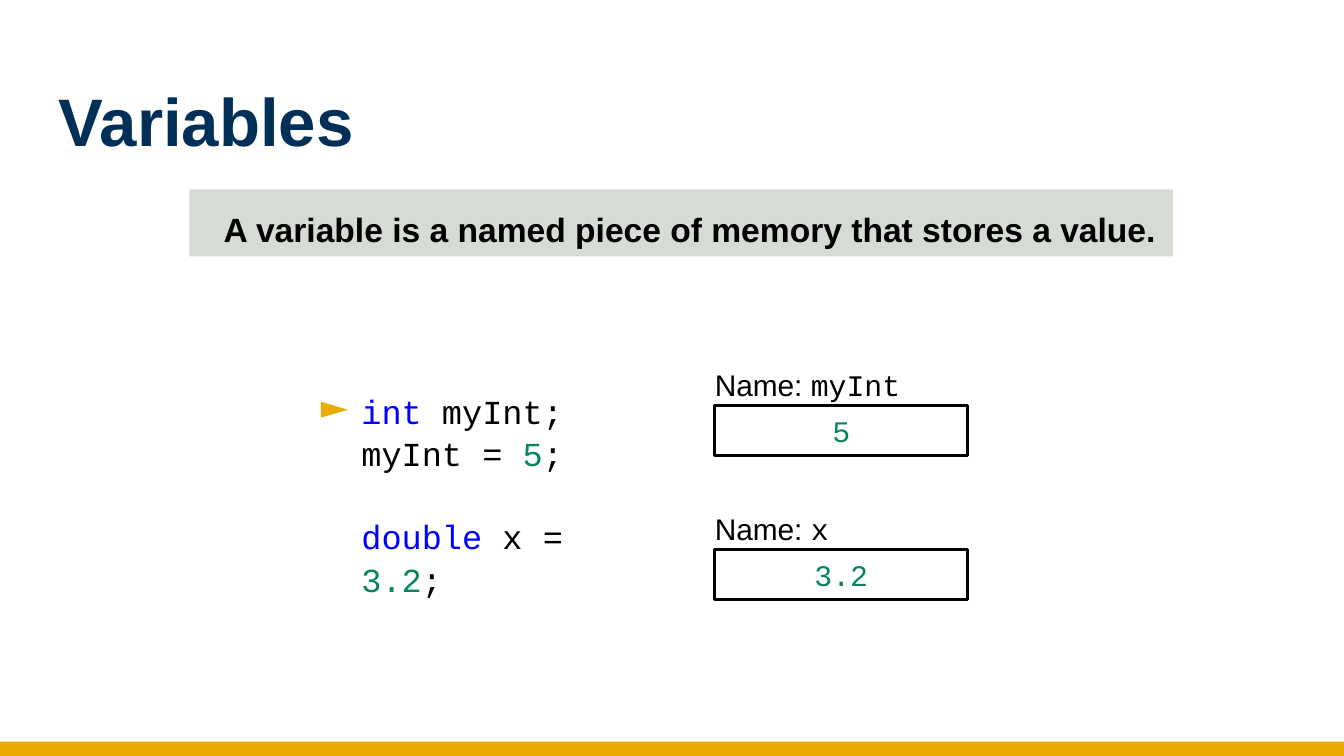
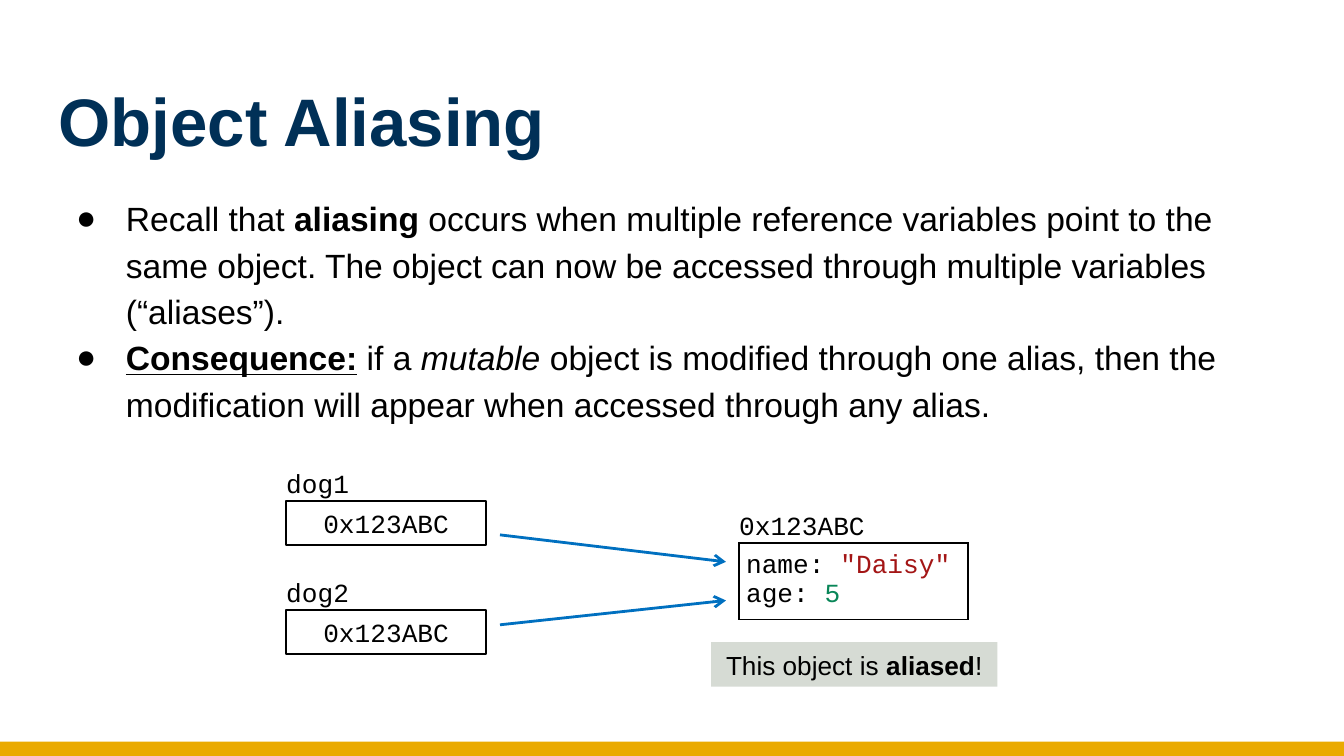
from dataclasses import dataclass

from lxml import etree
from pptx import Presentation
from pptx import util as u
from pptx.dml.color import RGBColor
from pptx.enum import shapes, text
from pptx.oxml import ns

Cm, Pt = u.Cm, u.Pt


@dataclass(frozen=True)
class Theme:
    navy: str = "003057"
    gold: str = "EAAA00"
    grey: str = "D6DBD4"
    white: str = "FFFFFF"
    black: str = "000000"
    keyword: str = "0000FF"
    number: str = "098658"
    string: str = "A31515"
    arrow: str = "0070C0"
    sans: str = "Arial"
    mono: str = "Courier New"
    title: int = 36
    body: int = 18
    variable: int = 16
    diagram: int = 14


THEME = Theme()


@dataclass(frozen=True)
class Box:
    """An area in centimetres."""
    left: float
    top: float
    width: float
    height: float

    def inner(self, left, top, width, height):
        return Box(self.left + left, self.top + top, width, height)

    def lengths(self):
        return [Cm(value) for value in
                (self.left, self.top, self.width, self.height)]


@dataclass(frozen=True)
class Span:
    text: str
    color: str = None
    name: str = None
    bold: bool = None
    italic: bool = None
    underline: bool = None


PAGE = Box(0, 0, 25.4, 14.29)
TITLE = Box(0.86, 1.24, 23.67, 1.96)


def rgb(color):
    return RGBColor.from_string(color)


def child(parent, tag, **attributes):
    return etree.SubElement(parent, ns.qn(tag), attributes)


def style(font, color=None, **settings):
    for key, value in settings.items():
        if value is not None:
            setattr(font, key, value)
    if color:
        font.color.rgb = rgb(color)


def write(frame, paragraphs, size, name=THEME.sans, color=THEME.black,
          bold=False, align=text.PP_ALIGN.LEFT, spacing=1.0, bullet=None,
          inset=(0.25, 0.13)):
    """Fill a frame with paragraphs, each of them a list of spans."""
    frame.word_wrap = True
    frame.auto_size = text.MSO_AUTO_SIZE.NONE
    frame.vertical_anchor = text.MSO_ANCHOR.TOP
    frame.margin_left = frame.margin_right = Cm(inset[0])
    frame.margin_top = frame.margin_bottom = Cm(inset[1])
    for index, spans in enumerate(paragraphs):
        para = frame.paragraphs[0] if index == 0 else frame.add_paragraph()
        if bullet:
            add_bullet(para, bullet)
        para.alignment = align
        para.line_spacing = spacing
        para.space_before = Pt(0)
        style(para.font, size=Pt(size), name=name, color=color, bold=bold)
        for span in spans:
            run = para.add_run()
            run.text = span.text
            style(run.font, span.color, name=span.name, bold=span.bold,
                  italic=span.italic, underline=span.underline)


def add_bullet(para, symbol):
    properties = para._p.get_or_add_pPr()
    properties.set("marL", str(Cm(1.27)))
    properties.set("indent", str(-Cm(0.94)))
    child(child(properties, "a:buClr"), "a:srgbClr", val=THEME.black)
    child(properties, "a:buFont", typeface=THEME.sans)
    child(properties, "a:buChar", char=symbol)


def add_panel(owner, box, fill=None, line=None, width=1.0,
              kind=shapes.MSO_SHAPE.RECTANGLE):
    panel = owner.shapes.add_shape(kind, *box.lengths())
    panel.shadow.inherit = False
    if fill:
        panel.fill.solid()
        panel.fill.fore_color.rgb = rgb(fill)
    else:
        panel.fill.background()
    if line:
        panel.line.color.rgb = rgb(line)
        panel.line.width = Pt(width)
    else:
        panel.line.fill.background()
    return panel


def add_text(owner, box, paragraphs, size, **settings):
    label = owner.shapes.add_textbox(*box.lengths())
    write(label.text_frame, paragraphs, size, **settings)
    return label


def add_label(owner, box, spans, size, height, **settings):
    """Set a line of text just above a box, flush with its left edge."""
    spot = box.inner(-0.25, 0.08 - height, box.width, height)
    add_text(owner, spot, [spans], size, **settings)


def add_arrow(page, start, end):
    arrow = page.shapes.add_connector(
        shapes.MSO_CONNECTOR.STRAIGHT, *(Cm(value) for value in start + end))
    arrow.line.color.rgb = rgb(THEME.arrow)
    arrow.line.width = Pt(1.5)
    child(arrow.line._get_or_add_ln(), "a:tailEnd", type="arrow")
    child(arrow._element.spPr, "a:effectLst")


def add_band(deck, page):
    """Draw the gold foot band and hand it to the slide master."""
    band = add_panel(page, PAGE.inner(0, 14.02, PAGE.width, 0.27), THEME.gold)
    band.element.nvSpPr.cNvPr.set("id", "90")
    deck.slide_master.shapes.element.append(band.element)


def add_page(deck, layout, title):
    page = deck.slides.add_slide(deck.slide_layouts.get_by_name(layout))
    heading = page.shapes.title
    heading.left, heading.top, heading.width, heading.height = TITLE.lengths()
    write(heading.text_frame, [[Span(title)]], THEME.title, color=THEME.navy,
          bold=True, inset=(0.25, 0.25))
    return page


def add_definition(page, box):
    banner = add_panel(page, box, THEME.grey)
    write(banner.text_frame,
          [[Span("A variable is a named piece of memory that stores a value.")]],
          THEME.body, bold=True, align=text.PP_ALIGN.CENTER, spacing=1.15,
          inset=(0.25, 0.25))
    banner.text_frame.margin_left = Cm(0.58)


def add_code(page, box):
    lines = [
        [Span("int", THEME.keyword), Span(" myInt;")],
        [Span("myInt = "), Span("5", THEME.number), Span(";")],
        [Span("double", THEME.keyword), Span(" x = "),
         Span("3.2", THEME.number), Span(";")],
    ]
    code = add_text(page, box, lines, THEME.body, name=THEME.mono, spacing=1.06)
    code.text_frame.paragraphs[-1].space_before = Pt(21.6)
    marker = add_panel(page, box.inner(-0.41, 0.28, 0.3, 0.51), THEME.gold,
                       kind=shapes.MSO_SHAPE.ISOSCELES_TRIANGLE)
    marker.rotation = 90


def add_variable(page, box, name, value):
    group = page.shapes.add_group_shape()
    add_label(group, box, [Span("Name: "), Span(name, name=THEME.mono)],
              THEME.variable, box.height)
    cell = add_panel(group, box, line=THEME.black, width=1.5)
    write(cell.text_frame, [[Span(value)]], THEME.variable, name=THEME.mono,
          color=THEME.number, align=text.PP_ALIGN.CENTER)


def add_points(page, box):
    body = page.placeholders[1]
    body.left, body.top, body.width, body.height = box.lengths()
    points = [
        [Span("Recall that "), Span("aliasing", bold=True),
         Span(" occurs when multiple reference variables point to the same "
              "object. The object can now be accessed through multiple "
              "variables (“aliases”).")],
        [Span("Consequence:", bold=True, underline=True), Span(" if a "),
         Span("mutable ", italic=True),
         Span("object is modified through one alias, then the modification "
              "will appear when accessed through any alias.")],
    ]
    write(body.text_frame, points, THEME.body, spacing=1.15, bullet="●",
          inset=(0.25, 0.25))


def add_reference(page, box, name, address):
    add_label(page, box, [Span(name)], THEME.diagram, box.height,
              name=THEME.mono)
    cell = add_panel(page, box, THEME.white, THEME.black)
    write(cell.text_frame, [[Span(address)]], THEME.diagram, name=THEME.mono,
          align=text.PP_ALIGN.CENTER)


def add_object(page, box, address):
    add_label(page, box, [Span(address)], THEME.diagram, 0.84, name=THEME.mono)
    table = page.shapes.add_table(1, 1, *box.lengths()).table
    table.first_row = table.horz_banding = False
    cell = table.cell(0, 0)
    fields = [[Span("name: "), Span('"Daisy"', THEME.string)],
              [Span("age: "), Span("5", THEME.number)]]
    write(cell.text_frame, fields, THEME.diagram, name=THEME.mono)
    cell.margin_left = cell.margin_right = Cm(0.13)
    cell.margin_top = cell.margin_bottom = Cm(0.13)
    cell.vertical_anchor = text.MSO_ANCHOR.MIDDLE
    properties = cell._tc.get_or_add_tcPr()
    for side in "LRTB":
        border = child(properties, f"a:ln{side}", w=str(Pt(0.96)))
        child(child(border, "a:solidFill"), "a:srgbClr", val=THEME.black)
    cell.fill.background()


def add_aliasing_diagram(page, box):
    address = "0x123ABC"
    for index, name in enumerate(["dog1", "dog2"]):
        spot = box.inner(0, 2.06 * index, 3.78, 0.84)
        add_reference(page, spot, name, address)
    add_object(page, box.inner(8.56, 0.79, 4.32, 1.45), address)
    for start, end in [(0.64, 1.15), (2.34, 1.88)]:
        add_arrow(page, (box.left + 4.04, box.top + start),
                  (box.left + 8.31, box.top + end))
    caption = add_panel(page, box.inner(8.03, 2.67, 5.41, 0.84), THEME.grey)
    write(caption.text_frame,
          [[Span("This object is "), Span("aliased", bold=True), Span("!")]],
          THEME.diagram, align=text.PP_ALIGN.CENTER)


def build_variables(deck):
    page = add_page(deck, "Title Only", "Variables")
    add_band(deck, page)
    add_definition(page, Box(3.58, 3.58, 18.59, 1.27))
    add_code(page, Box(6.58, 7.21, 6.2, 4.06))
    column = Box(13.51, 7.67, 4.78, 3.66)
    for index, (name, value) in enumerate([("myInt", "5"), ("x", "3.2")]):
        spot = column.inner(0, 2.72 * index, column.width, 0.94)
        add_variable(page, spot, name, value)


def build_aliasing(deck):
    page = add_page(deck, "Title and Content", "Object Aliasing")
    add_points(page, Box(0.86, 3.38, 23.67, 5.16))
    add_aliasing_diagram(page, Box(5.41, 9.47, 13.44, 3.51))


def main():
    deck = Presentation()
    deck.slide_width, deck.slide_height = Cm(PAGE.width), Cm(PAGE.height)
    build_variables(deck)
    build_aliasing(deck)
    deck.save("out.pptx")


if __name__ == "__main__":
    main()
